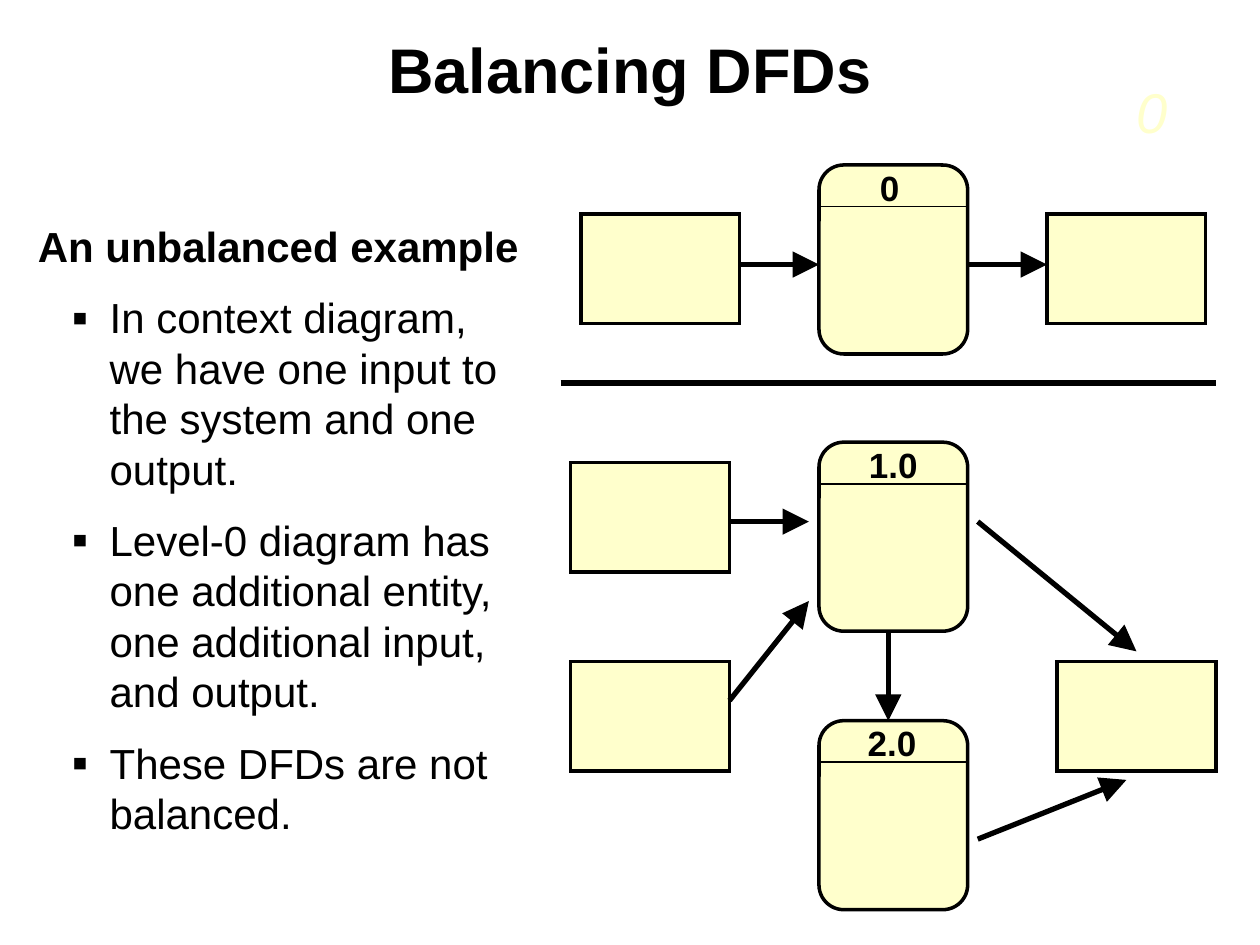
from pptx import Presentation
from pptx import util as u
from pptx.dml.color import RGBColor
from pptx.enum import shapes, text
from pptx.oxml import parse_xml
from pptx.oxml.ns import nsdecls, qn

BLACK, CREAM = "000000", "FFFFCC"
BOX_W, BOX_H = 1.26, 0.87
PROC_X, PROC_W, PROC_H = 6.5, 1.18, 1.5
POINTS = [
    "In context diagram, we have one input to the system and one output.",
    "Level-0 diagram has one additional entity, one additional input, and output.",
    "These DFDs are not balanced.",
]


def color(code):
    return RGBColor.from_string(code)


def place(item, x, y, w, h):
    item.left, item.top = u.Inches(x), u.Inches(y)
    item.width, item.height = u.Inches(w), u.Inches(h)


def style(para, size, bold=False, italic=False, code=BLACK):
    for run in para.runs:
        font = run.font
        font.name, font.size = "Arial", u.Pt(size)
        font.bold, font.italic = bold, italic
        font.color.rgb = color(code)


def indent(para, left, first):
    props = para._p.get_or_add_pPr()
    props.set("marL", str(u.Inches(left)))
    props.set("indent", str(u.Inches(first)))
    return props


def add_bullet(para):
    props = indent(para, 0.57, -0.3)
    for tag in (
        f'<a:buClr {nsdecls("a")}><a:srgbClr val="{BLACK}"/></a:buClr>',
        f'<a:buSzPct {nsdecls("a")} val="110000"/>',
        f'<a:buFont {nsdecls("a")} typeface="Arial"/>',
        f'<a:buChar {nsdecls("a")} char="▪"/>',
    ):
        props.append(parse_xml(tag))


def fill_title(title):
    place(title, 0.75, 0.06, 8.5, 0.83)
    frame = title.text_frame
    frame.text = "Balancing DFDs"
    frame.auto_size = text.MSO_AUTO_SIZE.NONE
    frame.vertical_anchor = text.MSO_ANCHOR.BOTTOM
    frame.paragraphs[0].alignment = text.PP_ALIGN.CENTER
    style(frame.paragraphs[0], 36, bold=True)


def fill_body(body):
    place(body, 0.2, 1.7, 4.06, 5.08)
    frame = body.text_frame
    frame.text = "\n".join(["An unbalanced example"] + POINTS)
    frame.auto_size = text.MSO_AUTO_SIZE.NONE
    for i, para in enumerate(frame.paragraphs):
        para.line_spacing = 1.0
        para.space_before = u.Pt(12 if i else 0)
        if i:
            para.level = 1
            add_bullet(para)
        else:
            props = indent(para, 0.26, -0.26)
            props.append(parse_xml(f'<a:buNone {nsdecls("a")}/>'))
        style(para, 24, bold=i == 0)


def add_label(slide, words, x, y, w, h, size, **look):
    box = slide.shapes.add_textbox(*map(u.Inches, (x, y, w, h)))
    frame = box.text_frame
    frame.text = words
    frame.word_wrap = True
    frame.vertical_anchor = text.MSO_ANCHOR.BOTTOM
    frame.paragraphs[0].alignment = text.PP_ALIGN.CENTER
    style(frame.paragraphs[0], size, **look)


def add_box(slide, x, y, w=BOX_W, h=BOX_H, kind=shapes.MSO_SHAPE.RECTANGLE):
    box = slide.shapes.add_shape(kind, *map(u.Inches, (x, y, w, h)))
    box.shadow.inherit = False
    box.fill.solid()
    box.fill.fore_color.rgb = color(CREAM)
    box.line.color.rgb = color(BLACK)
    box.line.width = u.Pt(2)
    box.line._get_or_add_ln().append(
        parse_xml(f'<a:miter {nsdecls("a")} lim="800000"/>'))


def add_line(slide, x1, y1, x2, y2, width=3, arrow=False):
    line = slide.shapes.add_connector(
        shapes.MSO_CONNECTOR.STRAIGHT, *map(u.Inches, (x1, y1, x2, y2)))
    line.line.color.rgb = color(BLACK)
    line.line.width = u.Pt(width)
    if arrow:
        line.line._get_or_add_ln().append(parse_xml(
            f'<a:tailEnd {nsdecls("a")} type="triangle" w="lg" len="lg"/>'))
    props = line._element.find(qn("p:spPr"))
    props.append(parse_xml(f'<a:effectLst {nsdecls("a")}/>'))


def add_process(slide, number, x, y):
    """Draw a rounded process with its number, from x, above a thin rule."""
    add_box(slide, PROC_X, y, PROC_W, PROC_H,
            shapes.MSO_SHAPE.ROUNDED_RECTANGLE)
    add_line(slide, PROC_X, y + 0.33, PROC_X + PROC_W, y + 0.33, width=1)
    add_label(slide, number, x, y, 0.86, 0.39, 20, bold=True)


def main():
    deck = Presentation()
    deck.slide_width, deck.slide_height = u.Inches(10), u.Inches(7.5)
    slide = deck.slides.add_slide(deck.slide_layouts[1])
    fill_title(slide.shapes.title)
    fill_body(slide.placeholders[1])
    add_label(slide, "0", 8.84, 0.61, 0.6, 0.59, 32, italic=True, code=CREAM)

    for number, x, y in (("0", 6.63, 1.31), ("1.0", 6.66, 3.51),
                         ("2.0", 6.65, 5.72)):
        add_process(slide, number, x, y)
    for x, y in ((4.61, 1.7), (8.31, 1.7),
                 (4.53, 3.67), (4.53, 5.25), (8.39, 5.25)):
        add_box(slide, x, y)
    for ends in (
        (5.87, 2.1, 6.5, 2.1),
        (7.68, 2.1, 8.31, 2.1),
        (5.79, 4.14, 6.42, 4.14),
        (7.76, 4.14, 9.02, 5.17),
        (5.79, 5.56, 6.42, 4.77),
        (7.76, 6.66, 8.94, 6.19),
        (7.05, 5.01, 7.05, 5.72),
    ):
        add_line(slide, *ends, arrow=True)
    add_line(slide, 4.45, 3.04, 9.65, 3.04)
    deck.save("out.pptx")


if __name__ == "__main__":
    main()
